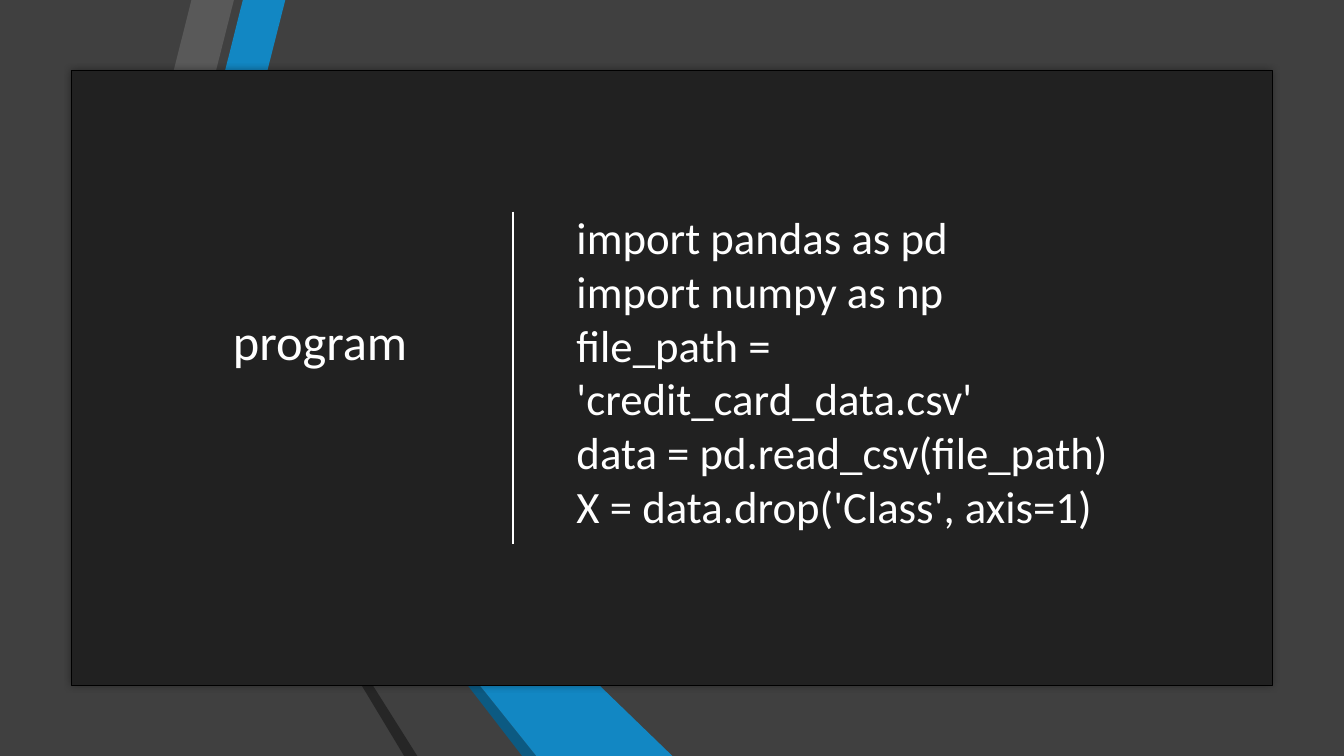
from lxml import etree
from pptx import Presentation
from pptx.dml.color import RGBColor
from pptx.enum import shapes, text
from pptx.oxml import ns
from pptx.util import Pt

HUES = {
    "back": "404040",
    "panel": "212121",
    "edge": "000000",
    "text": "FFFFFF",
    "blue": "1287C3",
    "deep": "0C5A82",
    "grey": "595959",
    "dark": "262626",
}
FONT = "Calibri"
BANDS = [
    ("blue", [(34.6, 211.7), (62.6, 218.9), (118.1, 0), (87.8, 0)]),
    ("grey", [(28.1, 210.2), (81.4, 0), (51.1, 0), (0, 203)]),
    ("dark", [(0, 203), (203, 540), (212.4, 540)]),
    ("deep", [(34.6, 212.4), (287.3, 540), (297.4, 540)]),
    ("blue", [(34.6, 211.7), (297.4, 540), (394.6, 540), (62.6, 218.9)]),
]
CODE = [
    "import pandas as pd",
    "import numpy as np",
    "file_path = 'credit_card_data.csv'",
    "data = pd.read_csv(file_path)",
    "X = data.drop('Class', axis=1)",
]


def hue(name):
    return RGBColor.from_string(HUES[name])


def paint(shape, name):
    shape.shadow.inherit = False
    shape.fill.solid()
    shape.fill.fore_color.rgb = hue(name)


def add_bands(slide, left, top):
    for name, dots in BANDS:
        spots = [(Pt(left + x), Pt(top + y)) for x, y in dots]
        pen = slide.shapes.build_freeform(*spots[0], scale=1.0)
        pen.add_line_segments(spots[1:], close=True)
        band = pen.convert_to_shape()
        paint(band, name)
        band.line.fill.background()


def add_panel(slide, left, top, width, height):
    panel = slide.shapes.add_shape(
        shapes.MSO_SHAPE.RECTANGLE, Pt(left), Pt(top), Pt(width), Pt(height))
    paint(panel, "panel")
    panel.line.color.rgb = hue("edge")
    panel.line.width = Pt(0.25)
    glow = panel.element.spPr.find(ns.qn("a:effectLst"))
    shade = etree.SubElement(glow, ns.qn("a:outerShdw"), blurRad=str(Pt(5)))
    tint = etree.SubElement(shade, ns.qn("a:srgbClr"), val=HUES["edge"])
    etree.SubElement(tint, ns.qn("a:alpha"), val="40000")


def add_rule(slide, x, top, height):
    rule = slide.shapes.add_connector(
        shapes.MSO_CONNECTOR.STRAIGHT, Pt(x), Pt(top), Pt(x), Pt(top + height))
    rule.line.color.rgb = hue("text")
    rule.line.width = Pt(1.25)
    etree.SubElement(rule.element.spPr, ns.qn("a:effectLst"))


def fill_holder(slide, holder, lines, size, left, top, width, height):
    holder.left, holder.top = Pt(left), Pt(top)
    holder.width, holder.height = Pt(width), Pt(height)
    slide.shapes.element.append(holder.element)
    frame = holder.text_frame
    frame.text = "\n".join(lines)
    frame.word_wrap = True
    frame.auto_size = text.MSO_AUTO_SIZE.NONE
    frame.vertical_anchor = text.MSO_ANCHOR.TOP
    for para in frame.paragraphs:
        para.alignment = text.PP_ALIGN.LEFT
        para.space_before = Pt(0)
        props = para._p.get_or_add_pPr()
        props.set("marL", "0")
        props.set("indent", "0")
        etree.SubElement(props, ns.qn("a:buNone"))
        for run in para.runs:
            run.font.name = FONT
            run.font.size = Pt(size)
            run.font.color.rgb = hue("text")


def add_code(slide, left, top, width, height):
    add_bands(slide, 85.7, 0)
    add_panel(slide, left, top, width, height)
    add_rule(slide, left + 315.4, top + 100.8, 237.6)
    fill_holder(slide, slide.shapes.title, ["program"], 36,
                left + 108, top + 167.8, 151.2, 51.1)
    fill_holder(slide, slide.placeholders[1], CODE, 32,
                left + 353.5, top + 95.8, 414.7, 239.8)


def main():
    deck = Presentation()
    deck.slide_width, deck.slide_height = Pt(960), Pt(540)
    slide = deck.slides.add_slide(deck.slide_layouts[1])
    slide.background.fill.solid()
    slide.background.fill.fore_color.rgb = hue("back")
    add_code(slide, 51.1, 50.4, 857.5, 439.2)
    deck.save("out.pptx")


if __name__ == "__main__":
    main()
